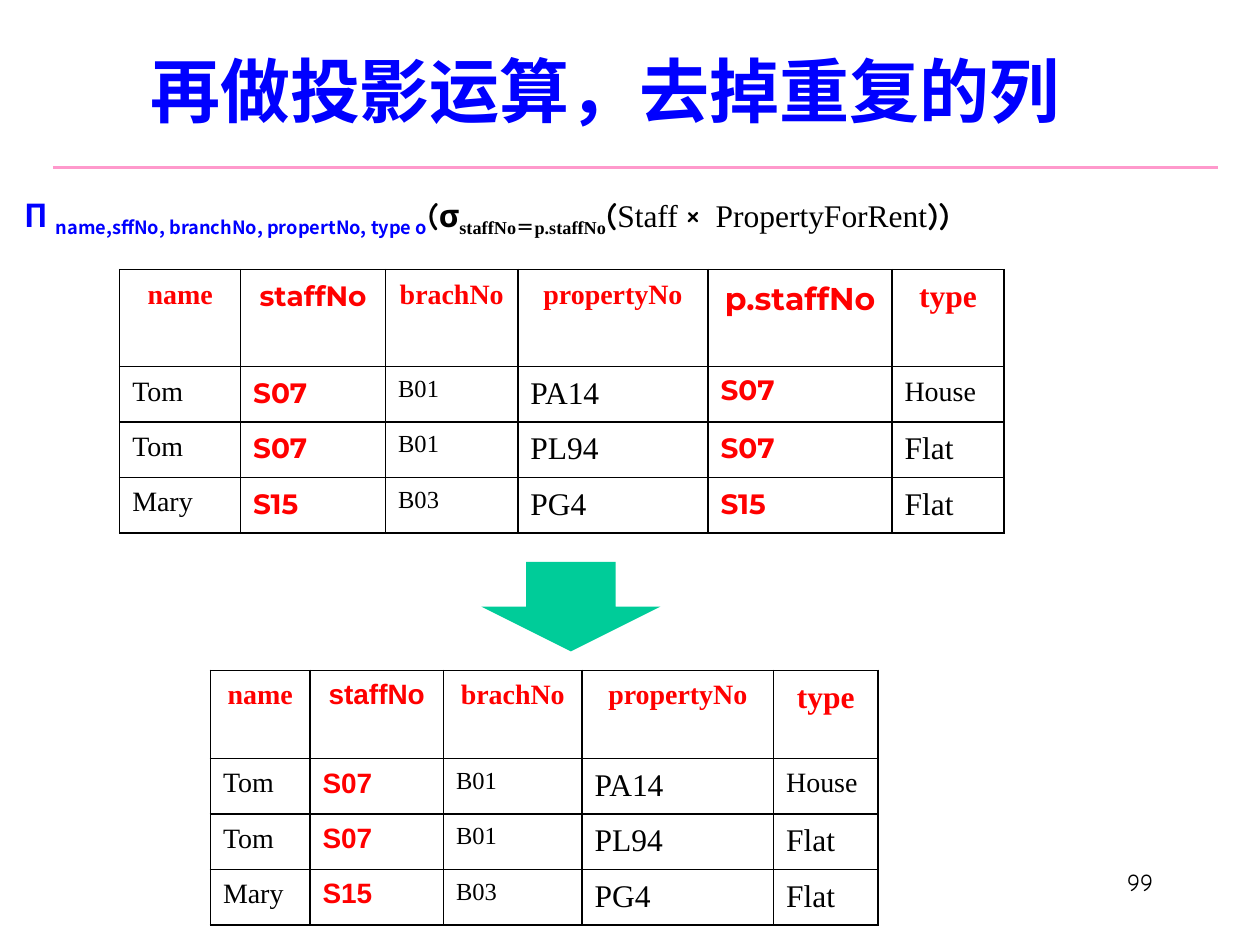
from lxml import etree
from pptx import Presentation
from pptx import util as u
from pptx.dml.color import RGBColor
from pptx.enum import shapes, text
from pptx.oxml import ns

COLORS = {"blue": "0000FF", "red": "FF0000", "black": "000000",
          "pink": "FF99CC", "green": "00CC99"}
CJK, COMIC, SERIF = "Noto Sans CJK SC", "Comic Neue", "Times New Roman"
ALIGN, ANCHOR = text.PP_ALIGN, text.MSO_ANCHOR


def rgb(name):
    return RGBColor.from_string(COLORS[name])


def add_run(p, content, size=18, font=SERIF, color="black", bold=False, baseline=0):
    r = p.add_run()
    r.text = content
    r.font.size = u.Pt(size)
    r.font.name = font
    r.font.bold = bold
    r.font.color.rgb = rgb(color)
    rPr = r.font._element
    if baseline:
        rPr.set("baseline", str(baseline * 1000))
    etree.SubElement(rPr, ns.qn("a:ea")).set("typeface", CJK)


def add_text(s, box, runs, align=ALIGN.LEFT, anchor=ANCHOR.TOP):
    tf = s.shapes.add_textbox(*map(u.Inches, box)).text_frame
    tf.word_wrap = True
    tf.vertical_anchor = anchor
    p = tf.paragraphs[0]
    p.alignment = align
    for content, fmt in runs:
        add_run(p, content, **fmt)


def add_rule(s, x1, x2, y):
    line = s.shapes.add_connector(shapes.MSO_CONNECTOR.STRAIGHT,
                                  *map(u.Inches, (x1, y, x2, y)))
    line.line.color.rgb = rgb("pink")
    line.line.width = u.Pt(1.5)
    etree.SubElement(line._element.spPr, ns.qn("a:effectLst"))


def add_formula(s, box):
    comic = dict(font=COMIC, bold=True)
    add_text(s, box, [
        ("Π ", dict(font=CJK, color="blue", bold=True)),
        ("name,sffNo, branchNo, propertNo, type o",
         dict(font=CJK, color="blue", bold=True, baseline=-25)),
        ("(σ", comic),
        ("staffNo＝p.staffNo", dict(bold=True, baseline=-25)),
        ("(", comic),
        ("Staff ", {}),
        ("× ", dict(font=COMIC, size=24)),
        ("PropertyForRent", {}),
        ("))", comic),
    ])


def set_borders(cell):
    tcPr = cell._tc.get_or_add_tcPr()
    for i, side in enumerate(("lnL", "lnR", "lnT", "lnB")):
        ln = etree.Element(ns.qn(f"a:{side}"), w=str(u.Pt(1)))
        fill = etree.SubElement(ln, ns.qn("a:solidFill"))
        etree.SubElement(fill, ns.qn("a:srgbClr")).set("val", COLORS["black"])
        tcPr.insert(i, ln)


def fill_cell(cell, content, align=ALIGN.LEFT, spacing=1.1, **fmt):
    cell.fill.background()
    set_borders(cell)
    p = cell.text_frame.paragraphs[0]
    p.alignment = align
    p.line_spacing = spacing
    add_run(p, content, **fmt)


def add_relation(s, x, y, head_height, columns):
    row_height = 0.44
    n_rows = len(columns[0]["values"]) + 1
    width = sum(c["width"] for c in columns)
    height = head_height + row_height * (n_rows - 1)
    table = s.shapes.add_table(n_rows, len(columns),
                               *map(u.Inches, (x, y, width, height))).table
    table.first_row = table.horz_banding = False
    for i, row in enumerate(table.rows):
        row.height = u.Inches(row_height if i else head_height)
    for j, col in enumerate(columns):
        table.columns[j].width = u.Inches(col["width"])
        font = col.get("font", SERIF)
        fill_cell(table.cell(0, j), col["head"], align=ALIGN.CENTER, font=font,
                  size=col.get("head_size", 16), color="red", bold=True)
        key = font != SERIF
        for i, value in enumerate(col["values"], 1):
            fmt = dict(font=font, size=col.get("size", 16), bold=key,
                       color="red" if key else "black")
            fmt.update(col.get("special", {}).get(i, {}))
            fill_cell(table.cell(i, j), value, **fmt)


def relation_columns(widths, key_font):
    staff = ["S07", "S07", "S15"]
    columns = [
        dict(head="name", values=["Tom", "Tom", "Mary"]),
        dict(head="staffNo", values=staff, font=key_font),
        dict(head="brachNo", values=["B01", "B01", "B03"], size=14),
        dict(head="propertyNo", values=["PA14", "PL94", "PG4"], size=18),
        dict(head="p.staffNo", values=staff, font=key_font, head_size=18,
             special={1: dict(spacing=1.0)}),
        dict(head="type", values=["House", "Flat", "Flat"], head_size=18, size=18,
             special={1: dict(size=16)}),
    ]
    return [dict(c, width=widths[c["head"]]) for c in columns if c["head"] in widths]


def add_down_arrow(s, box):
    sp = s.shapes.add_shape(shapes.MSO_SHAPE.DOWN_ARROW, *map(u.Inches, box))
    sp.shadow.inherit = False
    sp.fill.solid()
    sp.fill.fore_color.rgb = rgb("green")
    sp.line.fill.background()


def main():
    prs = Presentation()
    prs.slide_width, prs.slide_height = u.Inches(10), u.Inches(7.5)
    s = prs.slides.add_slide(prs.slide_layouts[6])
    add_rule(s, 0.42, 9.67, 1.33)
    add_text(s, (7.17, 6.83, 2.08, 0.5), [("99", dict(size=14, font=COMIC))],
             align=ALIGN.RIGHT)
    add_text(s, (0.1, 0.17, 9.4, 1.08),
             [("再做投影运算，去掉重复的列", dict(size=40, font=CJK, color="blue", bold=True))],
             align=ALIGN.CENTER, anchor=ANCHOR.MIDDLE)
    add_formula(s, (0.1, 1.42, 9.9, 0.5))
    product = {"name": 0.96, "staffNo": 1.15, "brachNo": 1.05,
               "propertyNo": 1.51, "p.staffNo": 1.46, "type": 0.89}
    projection = {"name": 0.79, "staffNo": 1.06, "brachNo": 1.1,
                  "propertyNo": 1.52, "type": 0.83}
    add_relation(s, 0.95, 2.14, 0.77, relation_columns(product, "Montserrat"))
    add_relation(s, 1.67, 5.32, 0.7, relation_columns(projection, "Arial"))
    add_down_arrow(s, (3.82, 4.46, 1.42, 0.71))
    prs.save("out.pptx")


if __name__ == "__main__":
    main()
